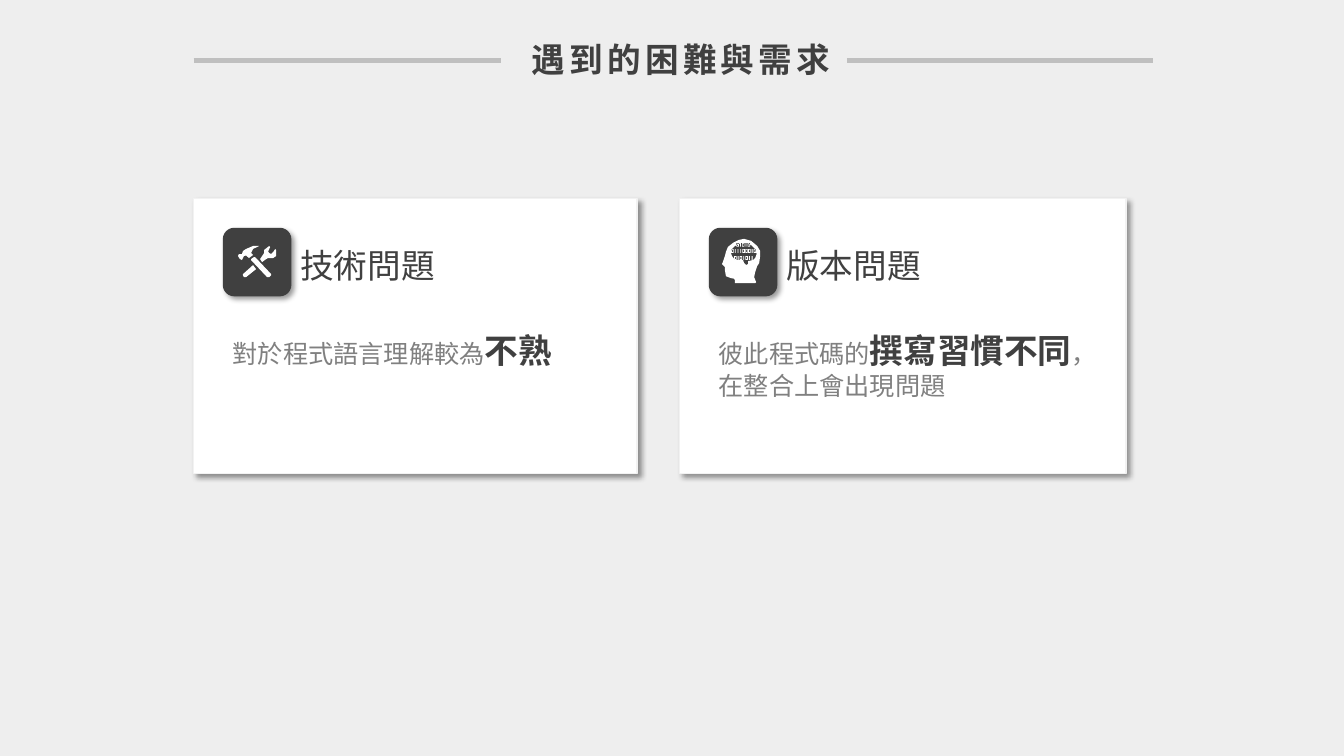
from dataclasses import dataclass

from lxml.etree import SubElement
from pptx import Presentation
from pptx.dml.color import RGBColor
from pptx.enum.shapes import MSO_CONNECTOR, MSO_SHAPE
from pptx.enum.text import MSO_ANCHOR, MSO_AUTO_SIZE, PP_ALIGN
from pptx.oxml.ns import qn
from pptx.util import Emu, Inches, Pt

FONT = "Noto Sans CJK JP"
DARK, GRAY, WHITE = "404040", "808080", "FFFFFF"

# Grid: square cells of a tenth of an inch, 133.3 columns by 75 rows
COLUMNS, ROWS = 133.3, 75
CARD_TOP, CARD_ROWS = 19.7, 27.3
INSET, BADGE = 2.9, 6.8

Contour = list[tuple[float, float]]


@dataclass
class Piece:
    text: str
    size: int = 18
    color: str = GRAY
    bold: bool = False


@dataclass
class Card:
    left: float
    columns: float
    heading: str
    body: list[Piece]
    icon: list[Contour]


def cells(count: float) -> Emu:
    return Inches(count / 10)


def rgb(color: str) -> RGBColor:
    return RGBColor.from_string(color)


def add_shadow(shape) -> None:
    effects = shape._element.spPr.get_or_add_effectLst() if hasattr(
        shape._element.spPr, "get_or_add_effectLst") else SubElement(
        shape._element.spPr, qn("a:effectLst"))
    shadow = SubElement(effects, qn("a:outerShdw"), blurRad=str(Pt(4)),
                        dist=str(Pt(3)), dir="2700000", algn="tl", rotWithShape="0")
    black = SubElement(shadow, qn("a:srgbClr"), val="000000")
    SubElement(black, qn("a:alpha"), val="40000")


def add_panel(shapes, kind: MSO_SHAPE, left: float, top: float, columns: float,
              rows: float, fill: str, border: str | None = None) -> None:
    panel = shapes.add_shape(kind, cells(left), cells(top), cells(columns), cells(rows))
    panel.fill.solid()
    panel.fill.fore_color.rgb = rgb(fill)
    if border:
        panel.line.color.rgb = rgb(border)
        panel.line.width = Pt(1)
    else:
        panel.line.fill.background()
    add_shadow(panel)


def write(frame, pieces: list[Piece], spacing: int = 0) -> None:
    frame.word_wrap = True
    frame.auto_size = MSO_AUTO_SIZE.SHAPE_TO_FIT_TEXT
    frame.vertical_anchor = MSO_ANCHOR.TOP
    for piece in pieces:
        run = frame.paragraphs[0].add_run()
        run.text = piece.text
        run.font.size = Pt(piece.size)
        run.font.bold = piece.bold
        run.font.color.rgb = rgb(piece.color)
        run.font.name = FONT
        properties = run._r.get_or_add_rPr()
        SubElement(properties, qn("a:ea"), typeface=FONT)
        if spacing:
            properties.set("spc", str(spacing * 100))


def add_text(shapes, left: float, top: float, columns: float, rows: float,
             pieces: list[Piece]) -> None:
    box = shapes.add_textbox(cells(left), cells(top), cells(columns), cells(rows))
    write(box.text_frame, pieces)


def add_rule(shapes, start: float, end: float, row: float) -> None:
    rule = shapes.add_connector(MSO_CONNECTOR.STRAIGHT, cells(start), cells(row),
                                cells(end), cells(row))
    rule.line.color.rgb = rgb("BFBFBF")
    rule.line.width = Pt(3)
    SubElement(rule._element.spPr, qn("a:effectLst"))


def add_icon(shapes, contours: list[Contour], left: float, top: float) -> None:
    """Draw contours given in tenths of a cell from the badge corner."""
    scaled = [[(x * 10, y * 10) for x, y in contour] for contour in contours]
    builder = shapes.build_freeform(*scaled[0][0], scale=Inches(1) / 1000)
    for number, contour in enumerate(scaled):
        if number:
            builder.move_to(*contour[0])
        builder.add_line_segments(contour[1:], close=True)
    icon = builder.convert_to_shape(cells(left), cells(top))
    icon.shadow.inherit = False
    icon.fill.solid()
    icon.fill.fore_color.rgb = rgb(WHITE)
    icon.line.fill.background()


def block(x: float, y: float, width: float, height: float) -> Contour:
    """Rectangle centred on x, y."""
    right, bottom = width / 2, height / 2
    return [(x - right, y - bottom), (x + right, y - bottom),
            (x + right, y + bottom), (x - right, y + bottom)]


def binary_row(digits: str, first: float, y: float) -> list[Contour]:
    contours = []
    for place, digit in enumerate(digits):
        x = first + place * 2.8
        if digit == "0":
            contours += [block(x, y, 2.4, 3.6), block(x, y, 1, 2.4)]
        else:
            contours.append(block(x, y, 0.9, 3.6))
    return contours


# Icon outlines
HAMMER_HEAD = [(21, 28), (23, 27.5), (26, 30), (30, 27), (28, 25), (30, 21), (36, 18),
               (30, 18), (23, 21), (20, 23), (19, 26), (16, 26), (15, 28), (17, 31),
               (19, 32), (20, 30)]
HAMMER_HANDLE = [(32, 29), (31, 29), (28, 31), (28, 32), (44, 49), (46, 49), (48, 47),
                 (48, 46)]
WRENCH_JAW = [(53, 22), (52, 21), (50, 24), (48, 26), (46, 25), (45, 23.5), (47, 19),
              (46, 18), (41, 22), (41, 25), (39, 28), (37, 31), (39, 34), (43, 31),
              (45, 30), (50, 30), (53, 28)]
WRENCH_HANDLE = [(20, 46), (20, 47), (21, 49), (23, 49), (33, 41), (30, 37)]
HEAD = [(35, 11), (42, 13), (48, 18), (51, 23), (51, 28), (50, 35), (48, 38), (46, 44),
        (45, 49), (47, 54), (46, 55), (26, 55), (26, 52), (25, 50.5), (22, 50), (17, 48),
        (16, 42), (16, 39), (15, 38), (13, 36), (14, 34), (16, 28), (17, 24), (19, 19),
        (24, 15), (30, 12)]
BRAIN = [(26, 18), (23, 21), (22, 25), (23, 28), (26, 32), (34, 32), (35, 35), (37, 37),
         (39, 36), (39, 33), (44, 32), (46, 30), (47.5, 26), (46, 21), (43, 18),
         (39, 15), (32, 15)]
TOOLS = [HAMMER_HEAD, HAMMER_HANDLE, WRENCH_JAW, WRENCH_HANDLE]
MIND = [HEAD, BRAIN, *binary_row("01010", 28.6, 16.9),
        *binary_row("011100010", 23.4, 23), *binary_row("0101011", 26.3, 30)]

CARDS = [
    Card(19.2, 44, "技術問題",
         [Piece("對於程式語言理解較為"), Piece("不熟", 24, DARK, True)], TOOLS),
    Card(67.4, 44.3, "版本問題",
         [Piece("彼此程式碼的"), Piece("撰寫習慣不同", 24, DARK, True),
          Piece("，在整合上會出現問題")], MIND),
]


def add_card(slide, card: Card) -> None:
    left, top = card.left + INSET, CARD_TOP + INSET
    parts = slide.shapes.add_group_shape().shapes
    add_panel(parts, MSO_SHAPE.RECTANGLE, card.left, CARD_TOP, card.columns, CARD_ROWS,
              WHITE, "F2F2F2")
    add_panel(parts, MSO_SHAPE.ROUNDED_RECTANGLE, left, top, BADGE, BADGE, DARK)
    add_text(parts, left, 32.2, card.columns - 4.8, 5 if len(card.body) < 3 else 8.1,
             card.body)
    add_text(slide.shapes, left + BADGE - 0.1, 23.8, 33, 5,
             [Piece(card.heading, 24, DARK)])
    add_icon(slide.shapes, card.icon, left, top)


def main() -> None:
    deck = Presentation()
    deck.slide_width, deck.slide_height = cells(COLUMNS), cells(ROWS)
    slide = deck.slides.add_slide(deck.slide_layouts[5])
    slide.background.fill.solid()
    slide.background.fill.fore_color.rgb = rgb("EEEEEE")

    # Title between two rules
    title = slide.shapes.title
    title.left, title.top = cells(50.2), cells(3.4)
    title.width, title.height = cells(34.7), cells(5)
    write(title.text_frame, [Piece("遇到的困難與需求", 24, DARK, True)], spacing=3)
    title.text_frame.paragraphs[0].alignment = PP_ALIGN.CENTER
    for start, end in ((19.2, 49.7), (84, 114.4)):
        add_rule(slide.shapes, start, end, 6)

    # Problem cards
    for card in CARDS:
        add_card(slide, card)

    deck.save("out.pptx")


if __name__ == "__main__":
    main()
